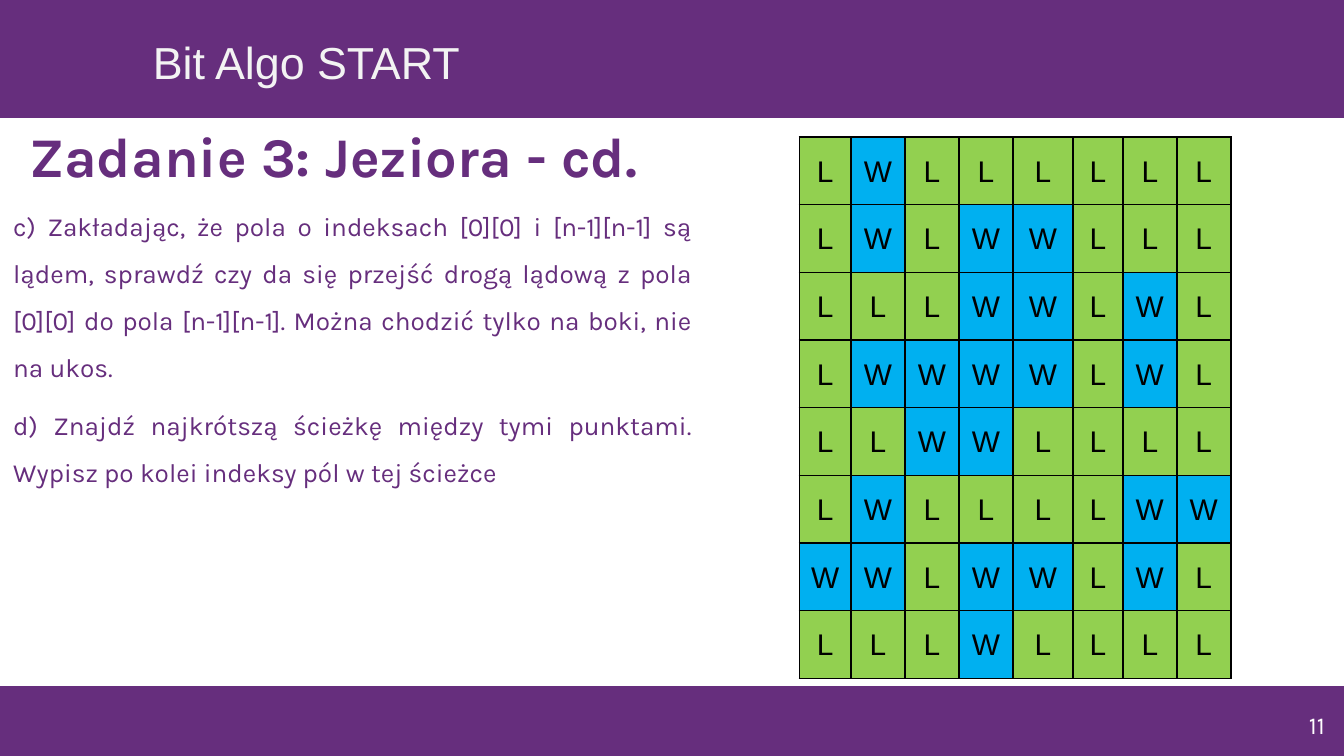
from lxml import etree
from pptx import Presentation
from pptx import util as u
from pptx.dml.color import RGBColor
from pptx.enum import shapes, text
from pptx.oxml.ns import qn

PURPLE = "662E7D"
FILLS = {"L": "92D050", "W": "00B0F0"}
LAKES = ["LWLLLLLL", "LWLWWLLL", "LLLWWLWL", "LWWWWLWL",
         "LLWWLLLL", "LWLLLLWW", "WWLWWLWL", "LLLWLLLL"]
COLS = [0.97, 1.02, 1.02, 1.02, 1.14, 0.94, 1.02, 1.02]
ROW = 1.27
TASKS = [
    "c) Zakładając, że pola o indeksach [0][0] i [n-1][n-1] są lądem, sprawdź czy da się "
    "przejść drogą lądową z pola [0][0] do pola [n-1][n-1]. Można chodzić tylko na boki, "
    "nie na ukos.",
    "d) Znajdź najkrótszą ścieżkę między tymi punktami. Wypisz po kolei indeksy pól w tej "
    "ścieżce",
]


def color(value):
    return RGBColor.from_string(value)


def apply(obj, values):
    for name, value in values.items():
        setattr(obj, name, value)


def write(p, content, size, font, fill, bold=False, **para):
    r = p.add_run()
    r.text = content
    apply(r.font, {"size": u.Pt(size), "name": font, "bold": bold})
    r.font.color.rgb = color(fill)
    apply(p, para)


def add_bar(s, top, height):
    sp = s.shapes.add_shape(shapes.MSO_SHAPE.RECTANGLE,
                            u.Cm(-0.1), u.Cm(top), u.Cm(25.58), u.Cm(height))
    sp.shadow.inherit = False
    sp.fill.solid()
    sp.fill.fore_color.rgb = color(PURPLE)
    sp.line.color.rgb = color(PURPLE)
    sp.line.width = u.Pt(1.5)


def add_text(s, box, lines, size, font, fill, anchor=text.MSO_ANCHOR.TOP, **style):
    tf = s.shapes.add_textbox(*map(u.Cm, box)).text_frame
    sides = ("margin_left", "margin_top", "margin_right", "margin_bottom")
    apply(tf, {"word_wrap": True, "vertical_anchor": anchor,
               **dict.fromkeys(sides, u.Cm(0.25))})
    for i, line in enumerate(lines):
        p = tf.add_paragraph() if i else tf.paragraphs[0]
        write(p, line, size, font, fill, **style)


def add_borders(cell):
    tcPr = cell._tc.get_or_add_tcPr()
    for i, side in enumerate(("lnL", "lnR", "lnT", "lnB")):
        ln = etree.Element(qn(f"a:{side}"), w=str(u.Pt(1)))
        fill = etree.SubElement(ln, qn("a:solidFill"))
        etree.SubElement(fill, qn("a:srgbClr"), val="000000")
        tcPr.insert(i, ln)


def add_grid(s, left, top):
    table = s.shapes.add_table(len(LAKES), len(COLS), u.Cm(left), u.Cm(top),
                               u.Cm(sum(COLS)), u.Cm(ROW * len(LAKES))).table
    apply(table, {"first_row": False, "horz_banding": False})
    for col, width in zip(table.columns, COLS):
        col.width = u.Cm(width)
    for row, letters in zip(table.rows, LAKES):
        row.height = u.Cm(ROW)
        for cell, letter in zip(row.cells, letters):
            apply(cell, {"margin_left": u.Cm(0.18), "margin_right": u.Cm(0.18),
                         "margin_top": u.Cm(0.25), "margin_bottom": u.Cm(0.25)})
            cell.fill.solid()
            cell.fill.fore_color.rgb = color(FILLS[letter])
            add_borders(cell)
            write(cell.text_frame.paragraphs[0], letter, 16, "Arial", "000000",
                  alignment=text.PP_ALIGN.CENTER, line_spacing=1.15)


def main():
    prs = Presentation()
    apply(prs, {"slide_width": u.Cm(25.4), "slide_height": u.Cm(14.29)})
    s = prs.slides.add_slide(prs.slide_layouts[6])
    add_bar(s, -0.08, 2.29)
    add_text(s, (2.64, 0.41, 11.3, 1.55), ["Bit Algo START"], 24, "Arial", "F3F3F3")
    add_bar(s, 13, 1.45)
    add_text(s, (0.3, 2.31, 24.79, 1.5), ["Zadanie 3: Jeziora - cd."], 30, "Karla", PURPLE,
             anchor=text.MSO_ANCHOR.BOTTOM, bold=True)
    add_text(s, (23.77, 13.18, 1.52, 1.09), ["11"], 13, "Karla", "FFFFFF",
             alignment=text.PP_ALIGN.RIGHT)
    add_text(s, (0, 3.43, 13.34, 8.1), TASKS, 14, "Karla", PURPLE,
             alignment=text.PP_ALIGN.JUSTIFY, line_spacing=1.5, space_before=u.Pt(6))
    add_grid(s, 15.11, 2.59)
    prs.save("out.pptx")


if __name__ == "__main__":
    main()
